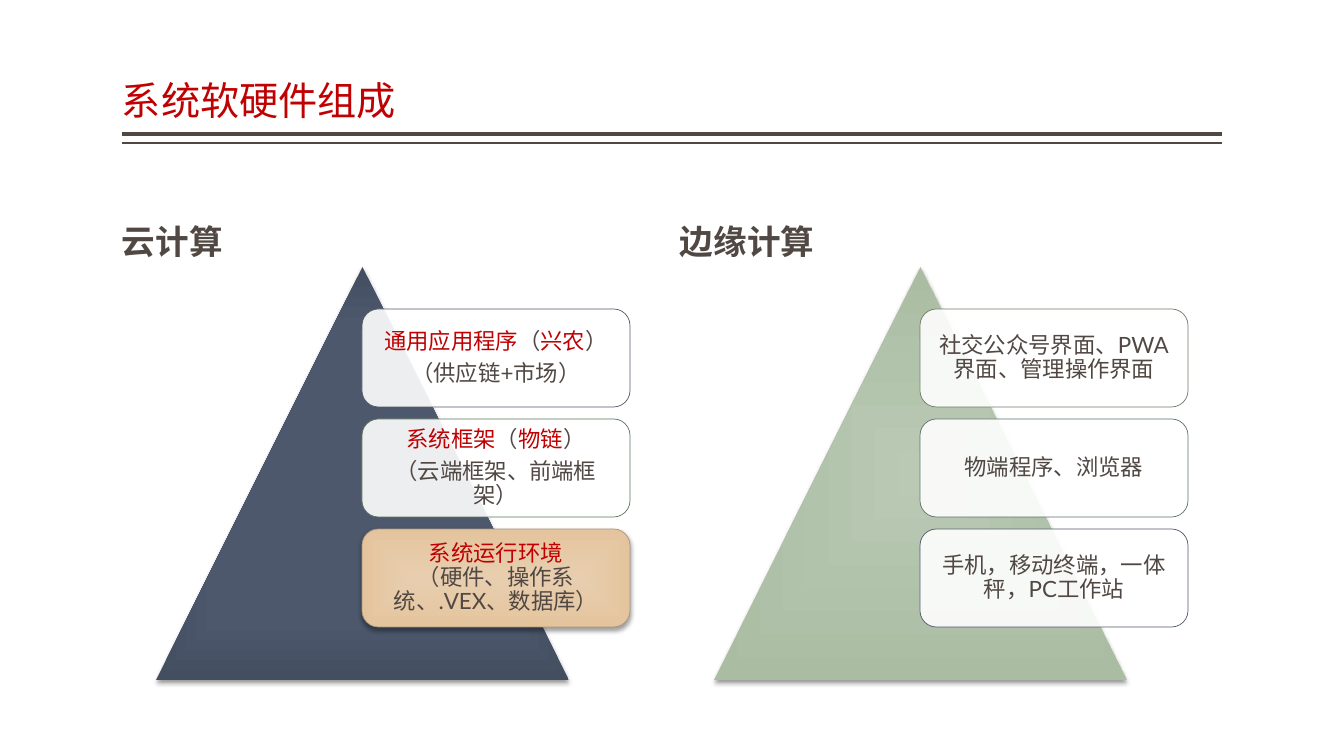
from lxml.etree import SubElement
from pptx import Presentation
from pptx.dml.color import RGBColor
from pptx.enum.shapes import MSO_CONNECTOR as CONN, MSO_SHAPE as SHAPE
from pptx.enum.text import MSO_ANCHOR as ANCHOR, MSO_AUTO_SIZE as AUTO, PP_ALIGN as ALIGN
from pptx.oxml import parse_xml
from pptx.oxml.ns import nsdecls, qn
from pptx.util import Emu, Pt

LATIN, CJK = "Lato", "Noto Sans CJK SC"
RED, GREY = "BF0102", "514843"
WHITE = [(0, "FFFFFF")]
SAND = [(0, "E8CEAF"), (100, "E4C49D")]

TITLE = "系统软硬件组成"
RULES = [(134, 3), (143, 1)]
PYRAMIDS = [
    {
        "heading": "云计算",
        "stops": [(0, "4E596E"), (71, "4D586D"), (100, "444E61")],
        "boxes": [
            ("525A6A", WHITE, [
                [("通用应用程序", RED), ("（", GREY), ("兴农", RED), ("）", GREY)],
                [("（供应链+市场）", GREY)],
            ]),
            ("5C765D", WHITE, [
                [("系统框架", RED), ("（", GREY), ("物链", RED), ("）", GREY)],
                [("（云端框架、前端框架）", GREY)],
            ]),
            ("AB977A", SAND, [
                [("系统运行环境\n", RED), ("（硬件、操作系统、.VEX、数据库）", GREY)],
            ]),
        ],
    },
    {
        "heading": "边缘计算",
        "stops": [(0, "BAC9B4"), (100, "AABDA3")],
        "boxes": [
            ("6D7D66", WHITE, [[("社交公众号界面、PWA界面、管理操作界面", GREY)]]),
            ("5C746C", WHITE, [[("物端程序、浏览器", GREY)]]),
            ("525A6A", WHITE, [[("手机，移动终端，一体秤，PC工作站", GREY)]]),
        ],
    },
]

LEFT, RIGHT, COLUMN_STEP = 122, 1222, 558
TRIANGLE_DX, TRIANGLE_TOP, TRIANGLE_SIZE = 34, 267, 413
BOX_DX, BOX_TOP, BOX_W, BOX_H, BOX_STEP = 240, 309, 268, 98, 110


def px(n):
    return Emu(round(n * 914400 / 100.8))


def rgb(value):
    return RGBColor.from_string(value)


def place(s, x, y, w, h):
    s.left, s.top, s.width, s.height = px(x), px(y), px(w), px(h)


def write(s, paragraphs, size, bold=False, align=ALIGN.LEFT, anchor=ANCHOR.BOTTOM,
          inset=(0, 5), after=0):
    tf = s.text_frame
    tf.word_wrap, tf.auto_size, tf.vertical_anchor = True, AUTO.NONE, anchor
    tf.margin_left = tf.margin_right = px(inset[0])
    tf.margin_top = tf.margin_bottom = px(inset[1])
    for i, runs in enumerate(paragraphs):
        p = tf.add_paragraph() if i else tf.paragraphs[0]
        p.alignment, p.line_spacing = align, 0.9
        p.space_before, p.space_after = Pt(0), Pt(after)
        for text, color in runs:
            r = p.add_run()
            r.text = text.rstrip("\n")
            r.font.size, r.font.bold, r.font.name = Pt(size), bold, LATIN
            r.font.color.rgb = rgb(color)
            SubElement(r.font._element, qn("a:ea")).set("typeface", CJK)
            if text.endswith("\n"):
                p.add_line_break()


def fill_gradient(s, stops):
    s.fill.background()
    gs = "".join(f'<a:gs pos="{pos * 1000}"><a:srgbClr val="{c}"/></a:gs>' for pos, c in stops)
    gradient = parse_xml(
        f'<a:gradFill {nsdecls("a")} rotWithShape="1"><a:gsLst>{gs}</a:gsLst>'
        '<a:path path="rect"><a:fillToRect l="50000" t="50000" r="50000" b="50000"/></a:path>'
        '</a:gradFill>')
    sp = s._element.spPr
    sp.replace(sp.find(qn("a:noFill")), gradient)


def cast_shadow(s):
    s._element.spPr.find(qn("a:effectLst")).append(parse_xml(
        f'<a:outerShdw {nsdecls("a")} blurRad="{Pt(3.5)}" dist="{Pt(2)}" dir="5400000" '
        'algn="ctr" rotWithShape="0"><a:srgbClr val="000000"><a:alpha val="38000"/>'
        '</a:srgbClr></a:outerShdw>'))


def add_shape(kind, x, y, w, h, stops, line=None):
    s = slide.shapes.add_shape(kind, px(x), px(y), px(w), px(h))
    s.shadow.inherit = False
    if len(stops) > 1:
        fill_gradient(s, stops)
        cast_shadow(s)
    else:
        s.fill.solid()
        s.fill.fore_color.rgb = rgb(stops[0][1])
        color = s._element.spPr.find(qn("a:solidFill"))[0]
        SubElement(color, qn("a:alpha")).set("val", "90000")
    if line:
        s.line.color.rgb, s.line.width = rgb(line), Pt(0.5)
    else:
        s.line.fill.background()
    return s


prs = Presentation()
prs.slide_width, prs.slide_height = px(1344), px(756)
slide = prs.slides.add_slide(prs.slide_layouts[4])
title, left_heading, left_body, right_heading, right_body = slide.placeholders
for s in (left_body, right_body):
    s._element.getparent().remove(s._element)

for y, width in RULES:
    rule = slide.shapes.add_connector(CONN.STRAIGHT, px(LEFT), px(y), px(RIGHT), px(y))
    rule.line.color.rgb, rule.line.width = rgb(GREY), Pt(width)
    SubElement(rule._element.spPr, qn("a:effectLst"))

place(title, LEFT, 8, RIGHT - LEFT, 121)
write(title, [[(TITLE, RED)]], 28)

for i, (heading, pyramid) in enumerate(zip((left_heading, right_heading), PYRAMIDS)):
    x = LEFT + i * COLUMN_STEP
    place(heading, x, 176, 542, 91)
    write(heading, [[(pyramid["heading"], GREY)]], 24, bold=True)
    add_shape(SHAPE.ISOSCELES_TRIANGLE, x + TRIANGLE_DX, TRIANGLE_TOP,
              TRIANGLE_SIZE, TRIANGLE_SIZE, pyramid["stops"])
    for row, (line, stops, paragraphs) in enumerate(pyramid["boxes"]):
        s = add_shape(SHAPE.ROUNDED_RECTANGLE, x + BOX_DX, BOX_TOP + row * BOX_STEP,
                      BOX_W, BOX_H, stops, line)
        write(s, paragraphs, 16, align=ALIGN.CENTER, anchor=ANCHOR.MIDDLE,
              inset=(7, 7), after=5.6)

prs.save("out.pptx")
